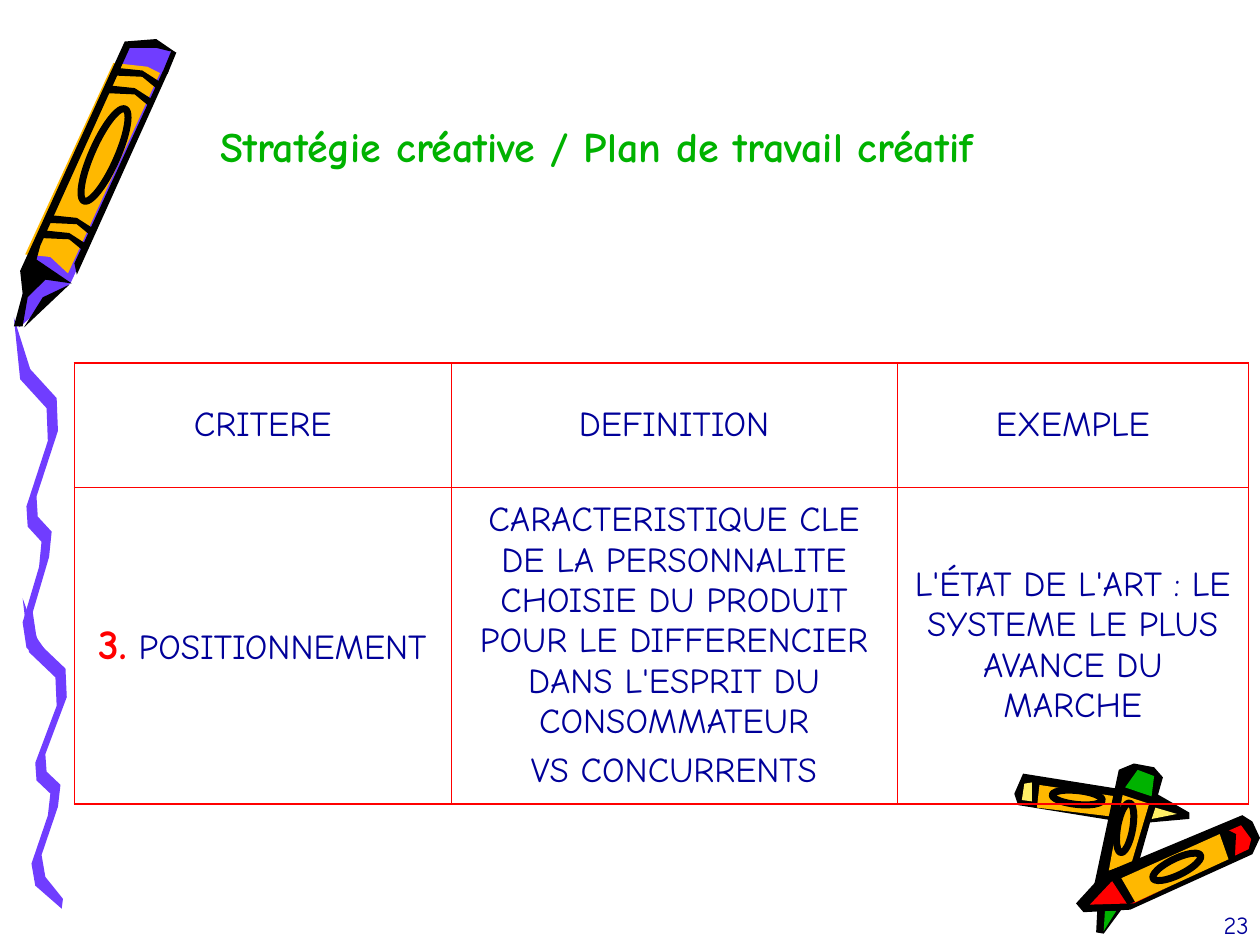
from pptx import Presentation
from pptx.dml.color import RGBColor
from pptx.enum.shapes import MSO_CONNECTOR, MSO_SHAPE
from pptx.enum.text import MSO_ANCHOR, MSO_AUTO_SIZE, PP_ALIGN
from pptx.oxml.ns import qn
from pptx.util import Inches, Pt
from lxml.etree import SubElement, Element

FONT = "Comic Neue"
NAVY = RGBColor(0x00, 0x00, 0x99)
GREEN = RGBColor(0x00, 0xB2, 0x00)
RED = RGBColor(0xFF, 0x00, 0x00)
ORANGE = RGBColor(0xFF, 0xB8, 0x00)
YELLOW = RGBColor(0xFF, 0xEF, 0x66)
VIOLET = RGBColor(0x70, 0x3D, 0xFF)
BLACK = RGBColor(0x00, 0x00, 0x00)

TITLE = "Stratégie créative / Plan de travail créatif"
PAGE_NUMBER = "23"
COLUMNS = [2.99, 3.54, 2.79]
ROWS = [0.99, 2.51]
CELLS = [
    [[[("CRITERE", 20, NAVY, False)]],
     [[("DEFINITION", 20, NAVY, False)]],
     [[("EXEMPLE", 20, NAVY, False)]]],
    [[[("3.", 24, RED, True), (" POSITIONNEMENT", 20, NAVY, False)]],
     [[("CARACTERISTIQUE CLE DE LA PERSONNALITE CHOISIE DU PRODUIT POUR LE "
        "DIFFERENCIER DANS L'ESPRIT DU CONSOMMATEUR", 20, NAVY, False)],
      [("VS CONCURRENTS", 20, NAVY, False)]],
     [[("L'ÉTAT DE L'ART : LE SYSTEME LE PLUS AVANCE DU MARCHE", 20, NAVY, False)]]],
]

LEFT_CRAYON = [
    (BLACK, [(8.12, 6.14), (8.87, 6.26), (8.82, 6.51), (8.08, 6.39), (8.05, 6.3)]),
    (ORANGE, [(8.25, 6.23), (8.85, 6.32), (8.82, 6.48), (8.23, 6.41)]),
    (YELLOW, [(8.19, 6.21), (8.13, 6.22), (8.11, 6.35), (8.19, 6.36)]),
    (BLACK, [(9.18, 6.3), (9.44, 6.45), (9.44, 6.5), (9.1, 6.53)]),
    (YELLOW, [(9.17, 6.41), (9.34, 6.46), (9.14, 6.5)]),
]
UPRIGHT_CRAYON = [
    (BLACK, [(9, 6.06), (9.16, 6.09), (9.23, 6.17), (9.04, 6.84), (8.67, 7.09), (8.88, 6.11)]),
    (GREEN, [(9.03, 6.11), (9.16, 6.16), (9.14, 6.32), (8.93, 6.25)]),
    (ORANGE, [(9.12, 6.38), (8.91, 6.31), (8.8, 6.91), (8.98, 6.85)]),
    (BLACK, [(8.71, 7.2), (8.9, 7.22), (8.76, 7.41), (8.7, 7.4)]),
    (GREEN, [(8.77, 7.23), (8.86, 7.23), (8.76, 7.39)]),
]
FRONT_CRAYON = [
    (BLACK, [(9.86, 6.47), (9.94, 6.52), (10, 6.65), (9.94, 6.78), (8.97, 7.22), (8.6, 7.24),
             (8.54, 7.17), (8.76, 6.93)]),
    (RED, [(9.85, 6.55), (9.93, 6.66), (9.91, 6.74), (9, 7.17), (8.65, 7.18), (8.82, 7)]),
    (BLACK, [(9.69, 6.56), (9.81, 6.62), (9.8, 6.82), (8.95, 7.18), (8.8, 6.95)]),
    (ORANGE, [(9.68, 6.62), (9.75, 6.82), (9.01, 7.16), (8.9, 6.97)]),
]
LARGE_CRAYON = [
    (VIOLET, [(1.01, 0.38), (1.26, 0.36), (1.39, 0.43), (0.56, 2.25), (0.15, 2.6), (0.2, 2.17)]),
    (ORANGE, [(0.54, 2.17), (0.4, 2.04), (0.2, 2.02), (0.9, 0.5), (1.17, 0.53), (1.27, 0.58)]),
    (BLACK, [(0.57, 2.25), (0.29, 2.06), (0.32, 1.95), (1.03, 0.38), (1.24, 0.38), (1.4, 0.42),
             (1.24, 0.31), (0.99, 0.33), (0.16, 2.15), (0.18, 2.33), (0.11, 2.59), (0.18, 2.59),
             (0.22, 2.36), (0.36, 2.22)]),
    (BLACK, [(1.34, 0.56), (0.61, 2.18), (0.59, 2.09), (1.29, 0.57)]),
    (BLACK, [(0.55, 2.26), (0.19, 2.6), (0.34, 2.36)]),
]
BAND = [(0, 0), (0.03, -0.06), (0.22, -0.04), (0.36, 0.05), (0.33, 0.1), (0.22, 0.01)]
BAND_STARTS = [(0.91, 0.6), (0.85, 0.74), (0.39, 1.77), (0.33, 1.89)]
LARGE_CRAYON += [(BLACK, [(x + dx, y + dy) for dx, dy in BAND]) for x, y in BAND_STARTS]

SQUIGGLE_MIDDLE = [(0.2, 2.97), (0.41, 3.2), (0.42, 3.46), (0.25, 3.98), (0.26, 4.14),
                   (0.37, 4.26), (0.35, 4.46), (0.22, 4.9), (0.25, 5.1)]
HALF_WIDTH = 0.04
UPPER_SQUIGGLE = (
    [(0.11, 2.52)] + [(x + HALF_WIDTH, y - HALF_WIDTH) for x, y in SQUIGGLE_MIDDLE]
    + [(0.43, 5.26), (0.42, 5.35)]
    + [(x - HALF_WIDTH, y + HALF_WIDTH) for x, y in reversed(SQUIGGLE_MIDDLE)])
LOWER_SQUIGGLE = [(x + 0.07, 4.75 + (y - 2.52) * 0.87) for x, y in UPPER_SQUIGGLE]
SQUIGGLES = [(VIOLET, LOWER_SQUIGGLE), (VIOLET, UPPER_SQUIGGLE)]

DRAWINGS = [
    (LEFT_CRAYON, (8.55, 6.33, 0.4, 0.11, 6)),
    (UPRIGHT_CRAYON, (8.93, 6.57, 0.12, 0.4, 10)),
    (FRONT_CRAYON, (9.34, 6.88, 0.42, 0.13, -26)),
    (SQUIGGLES, None),
    (LARGE_CRAYON, (0.83, 1.23, 0.2, 0.8, 24)),
]


def add_drawing(page, outlines, emblem):
    group = page.shapes.add_group_shape()
    for color, points in outlines:
        corners = [(Inches(x), Inches(y)) for x, y in points]
        builder = group.shapes.build_freeform(*corners[0])
        builder.add_line_segments(corners[1:], close=True)
        shape = builder.convert_to_shape()
        shape.shadow.inherit = False
        shape.fill.solid()
        shape.fill.fore_color.rgb = color
        shape.line.fill.background()
    if emblem:
        x, y, width, height, angle = emblem
        oval = group.shapes.add_shape(MSO_SHAPE.OVAL, Inches(x - width / 2),
                                      Inches(y - height / 2), Inches(width), Inches(height))
        oval.rotation = angle
        oval.shadow.inherit = False
        oval.fill.background()
        oval.line.color.rgb, oval.line.width = BLACK, Pt(4)
    return group


def add_span(para, text, size, color, bold=False):
    span = para.add_run()
    span.text = text
    span.font.name, span.font.size, span.font.bold = FONT, Pt(size), bold
    span.font.color.rgb = color


def set_borders(cell, widths):
    properties = cell._tc.get_or_add_tcPr()
    for index, (side, width) in enumerate(widths.items()):
        border = Element(qn(f"a:ln{side}"), w=str(Pt(width)))
        fill = SubElement(border, qn("a:solidFill"))
        SubElement(fill, qn("a:srgbClr"), val=str(RED))
        properties.insert(index, border)


def add_criteria_table(page):
    frame = page.shapes.add_table(len(ROWS), len(COLUMNS), Inches(0.59), Inches(2.88),
                                  Inches(sum(COLUMNS)), Inches(sum(ROWS)))
    table = frame.table
    table.first_row = table.horz_banding = False
    for column, width in zip(table.columns, COLUMNS):
        column.width = Inches(width)
    for r, height in enumerate(ROWS):
        table.rows[r].height = Inches(height)
        for c, paragraphs in enumerate(CELLS[r]):
            cell = table.cell(r, c)
            cell.fill.background()
            cell.vertical_anchor = MSO_ANCHOR.MIDDLE
            outer = {"L": c == 0, "R": c == len(COLUMNS) - 1, "T": r == 0, "B": r == len(ROWS) - 1}
            set_borders(cell, {side: 1.08 if edge else 0.45 for side, edge in outer.items()})
            for i, spans in enumerate(paragraphs):
                para = cell.text_frame.add_paragraph() if i else cell.text_frame.paragraphs[0]
                para.alignment = PP_ALIGN.CENTER
                para.space_before = Pt(5 if i else 0)
                for span in spans:
                    add_span(para, *span)


def main():
    deck = Presentation()
    deck.slide_width, deck.slide_height = Inches(10), Inches(7.5)
    page = deck.slides.add_slide(deck.slide_layouts[5])
    groups = [add_drawing(page, *drawing) for drawing in DRAWINGS]
    edge = groups[-1].shapes.add_connector(MSO_CONNECTOR.STRAIGHT, Inches(1.38), Inches(0.41),
                                           Inches(1.31), Inches(0.58))
    edge.line.color.rgb, edge.line.width = BLACK, Pt(3)
    SubElement(edge._element.spPr, qn("a:effectLst"))
    add_criteria_table(page)

    title = page.shapes.title
    title.left, title.top, title.width, title.height = map(Inches, (1.65, 0.91, 6.23, 0.5))
    title.text_frame.word_wrap = False
    title.text_frame.auto_size = MSO_AUTO_SIZE.SHAPE_TO_FIT_TEXT
    title.text_frame.vertical_anchor = MSO_ANCHOR.TOP
    title.text_frame.paragraphs[0].alignment = PP_ALIGN.LEFT
    add_span(title.text_frame.paragraphs[0], TITLE, 24, GREEN, True)

    number = page.shapes.add_textbox(Inches(7.93), Inches(7.17), Inches(2.08), Inches(0.5))
    number.text_frame.word_wrap = True
    number.text_frame.paragraphs[0].alignment = PP_ALIGN.RIGHT
    add_span(number.text_frame.paragraphs[0], PAGE_NUMBER, 14, NAVY)
    deck.save("out.pptx")


if __name__ == "__main__":
    main()
